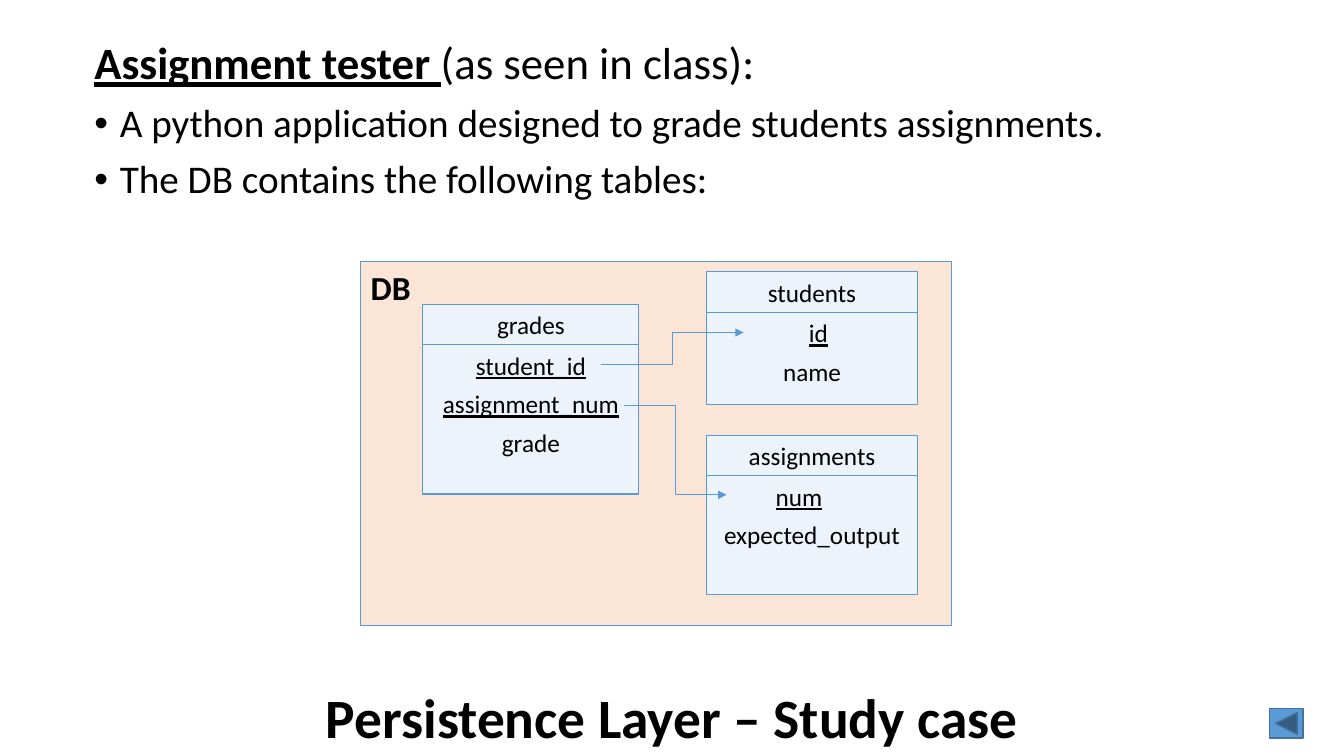
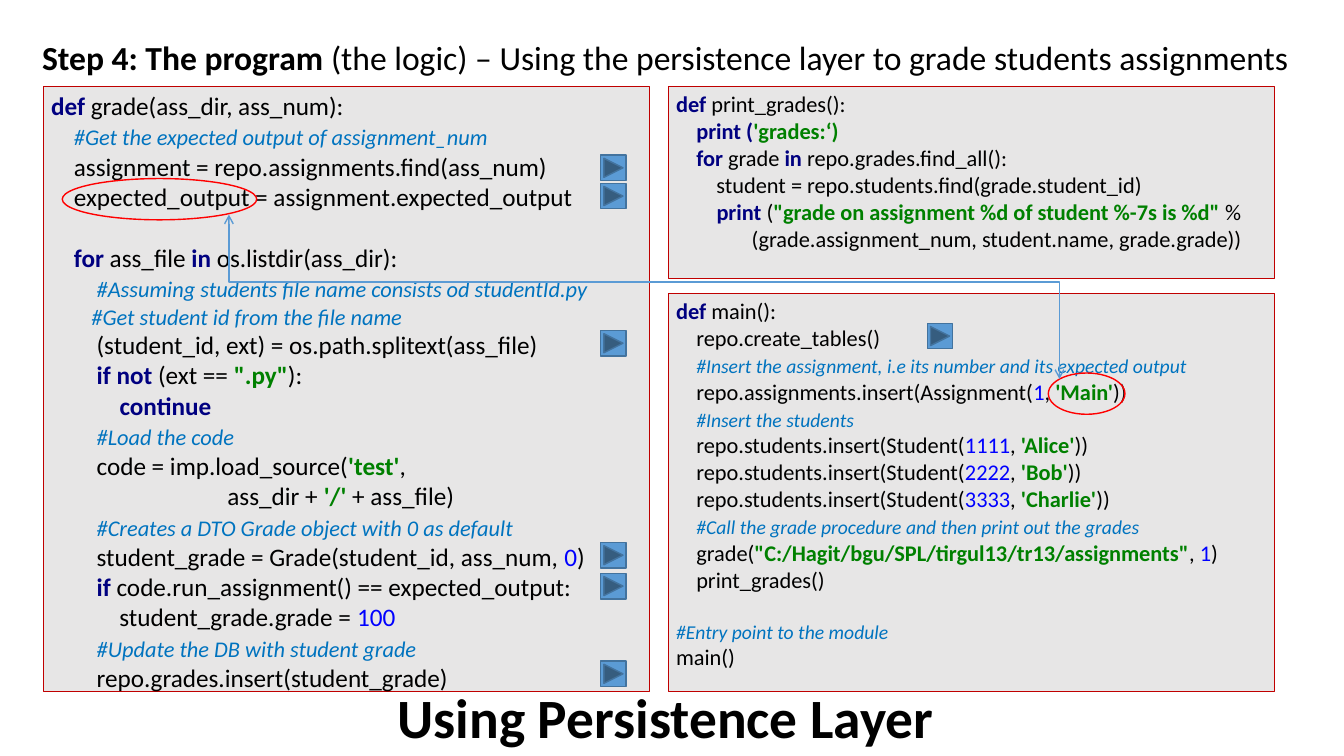
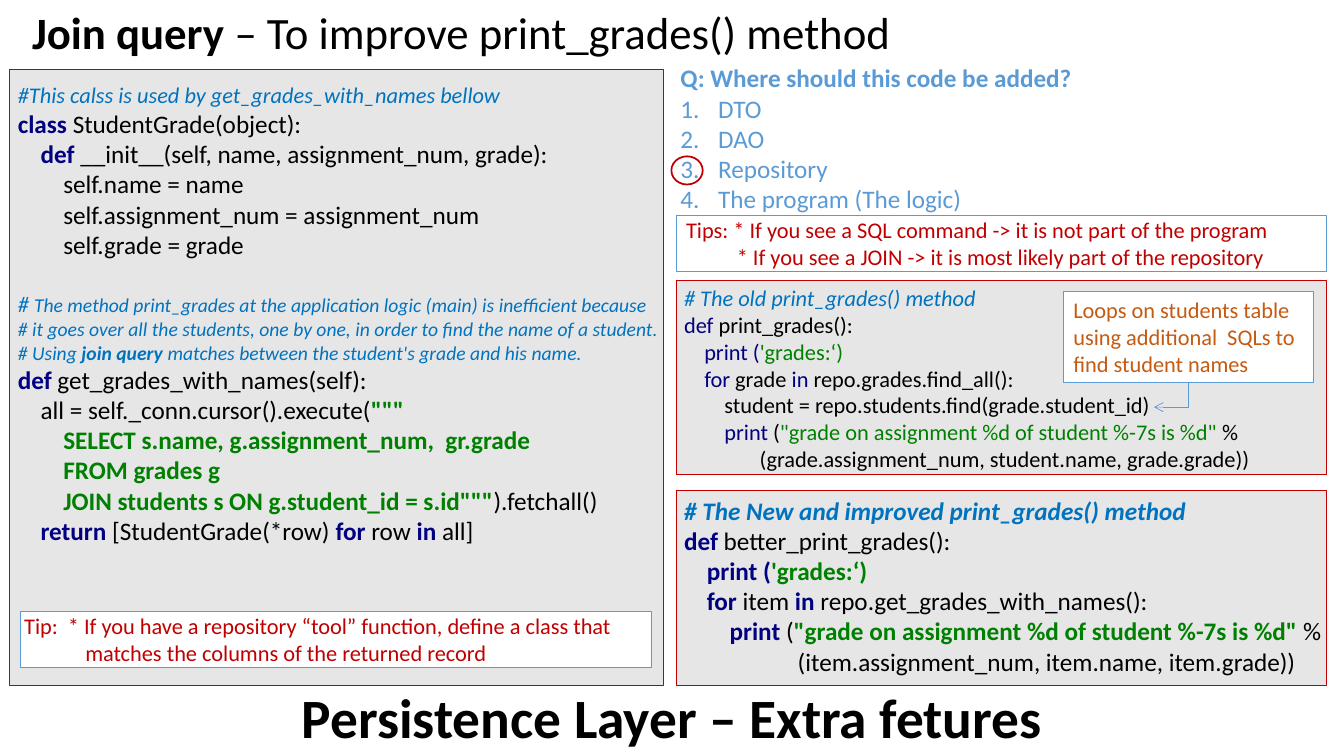
from lxml.etree import SubElement
from pptx import Presentation
from pptx.dml.color import RGBColor
from pptx.enum.shapes import MSO_CONNECTOR, MSO_SHAPE
from pptx.enum.text import MSO_ANCHOR, MSO_AUTO_SIZE, PP_ALIGN
from pptx.oxml.ns import qn
from pptx.util import Cm, Pt

FONT = "Calibri"
BLACK, WHITE, RED, GRAY = "000000", "FFFFFF", "C00000", "E7E6E6"
BLUE, DARK_BLUE, PALE_BLUE, PEACH = "5B9BD5", "43739E", "ECF3FA", "FBE5D6"
NAVY, GREEN, COMMENT = "000080", "008000", "0073BF"
CODE_INSETS = (0.2, 0.1, 0, 0.1)

# Code marks: colour, bold, italic, points added to the base size
STYLES = {
    "p": (BLACK, False, False, 0),
    "k": (NAVY, True, False, 0),
    "K": (NAVY, False, False, 0),
    "s": (GREEN, True, False, 0),
    "S": (GREEN, False, False, 0),
    "n": ("0000FF", False, False, 0),
    "o": (COMMENT, False, True, 0),
    "h": (COMMENT, True, True, 0),
    "c": (COMMENT, False, True, -2),
    "d": (COMMENT, False, True, -4),
    "j": (COMMENT, True, True, -4),
}

GRADE_SETUP = '''\
{k}def {p}grade(ass_dir, ass_num):
    {c}#Get the expected output of assignment_num
    assignment = repo.assignments.find(ass_num)
    expected_output = assignment.expected_output

    {k}for {p}ass_file {k}in {p}os.listdir(ass_dir):
        {c}#Assuming students file name consists od studentId.py
{c}        #Get student id from the file name
        (student_id, ext) = os.path.splitext(ass_file)
        {k}if not {p}(ext == {s}".py"{p}):
            {k}continue'''

GRADE_RUN = '''\
        {c}#Load the code
        code = imp.load_source({s}'test'{p},
                               ass_dir + {s}'/' {p}+ ass_file)
        {c}#Creates a DTO Grade object with 0 as default
        student_grade = Grade(student_id, ass_num, {n}0{p})
        {k}if {p}code.run_assignment() == expected_output:
            student_grade.grade = {n}100
        {c}#Update the DB with student grade
        repo.grades.insert(student_grade)'''

MAIN_CODE = '''\
{k}def {p}main():
    repo.create_tables()
    {c}#Insert the assignment, i.e its number and its expected output
    repo.assignments.insert(Assignment({n}1{p}, {s}'Main'{p}))
    {c}#Insert the students
    repo.students.insert(Student({n}1111{p}, {s}'Alice'{p}))
    repo.students.insert(Student({n}2222{p}, {s}'Bob'{p}))
    repo.students.insert(Student({n}3333{p}, {s}'Charlie'{p}))
    {c}#Call the grade procedure and then print out the grades
    grade({s}"C:/Hagit/bgu/SPL/tirgul13/tr13/assignments"{p}, {n}1{p})
    print_grades()

{c}#Entry point to the module
main()'''

PRINT_CODE = '''\
{k}def {p}print_grades():
    {k}print ({s}'grades:‘)
    {k}for {p}grade {k}in {p}repo.grades.find_all():
        student = repo.students.find(grade.student_id)
        {k}print {p}({s}"grade on assignment %d of student %-7s is %d" {p}%
               (grade.assignment_num, student.name, grade.grade))'''

OLD_PRINT_CODE = ("{o}# The old print_grades() method\n"
                  + PRINT_CODE.replace("{k}", "{K}").replace("{s}", "{S}"))

NEW_PRINT_CODE = '''\
{h}# The New and improved print_grades() method
{k}def {p}better_print_grades():
    {k}print ({s}'grades:‘)
    {k}for {p}item {k}in {p}repo.get_grades_with_names():
        {k}print {p}({s}"grade on assignment %d of student %-7s is %d" {p}%
                    (item.assignment_num, item.name, item.grade))'''

JOIN_CLASS = '''\
{c}#This calss is used by get_grades_with_names bellow
{k}class {p}StudentGrade(object):
    {k}def {p}__init__(self, name, assignment_num, grade):
        self.name = name
        self.assignment_num = assignment_num
        self.grade = grade'''

JOIN_METHOD = '''\
{c}# {d}The method print_grades at the application logic (main) is inefficient because
{d}# it goes over all the students, one by one, in order to find the name of a student.
{d}# Using {j}join query {d}matches between the student's grade and his name.
{k}def {p}get_grades_with_names(self):
    all = self._conn.cursor().execute({s}"""
{s}        SELECT s.name, g.assignment_num,  gr.grade
{s}        FROM grades g
{s}        JOIN students s ON g.student_id = s.id"""{p}).fetchall()
    {k}return {p}[StudentGrade(*row) {k}for {p}row {k}in {p}all]'''


def rgb(value):
    return RGBColor.from_string(value)


def add_run(p, text, size, color=BLACK, bold=False, italic=False, underline=False):
    r = p.add_run()
    r.text = text
    f = r.font
    f.name, f.size, f.bold, f.italic, f.underline = FONT, Pt(size), bold, italic, underline
    f.color.rgb = rgb(color)


def next_paragraph(tf, align=PP_ALIGN.LEFT):
    """Return the first paragraph while it is unused, otherwise a new one."""
    p = tf.paragraphs[0]
    if p.runs:
        p = tf.add_paragraph()
    p.alignment = align
    return p


def indent(p, left=0, first=0, right=0):
    pPr = p._p.get_or_add_pPr()
    for name, value in (("marL", left), ("indent", first), ("marR", right)):
        pPr.set(name, str(int(Cm(value))))
    return pPr


def set_frame(sp, insets):
    tf = sp.text_frame
    tf.word_wrap = True
    tf.auto_size = MSO_AUTO_SIZE.NONE
    tf.vertical_anchor = MSO_ANCHOR.TOP
    tf.margin_left, tf.margin_top, tf.margin_right, tf.margin_bottom = map(Cm, insets)
    return tf


def add_text(s, box, insets=(0.25, 0.13, 0.25, 0.13)):
    return set_frame(s.shapes.add_textbox(*map(Cm, box)), insets)


def add_shape(s, box, fill, line, width=0.75, kind=MSO_SHAPE.RECTANGLE,
              insets=(0.25, 0.13, 0.25, 0.13)):
    sp = s.shapes.add_shape(kind, *map(Cm, box))
    sp.shadow.inherit = False
    if fill:
        sp.fill.solid()
        sp.fill.fore_color.rgb = rgb(fill)
    else:
        sp.fill.background()
    sp.line.color.rgb = rgb(line)
    sp.line.width = Pt(width)
    return set_frame(sp, insets)


def add_elbow(s, start, end, width=0.5, head=None, tail="triangle",
              vertical=False, kind="bentConnector3", bend=0.5):
    """Draw a bent arrow; a vertical one leaves its start downwards."""
    (x1, y1), (x2, y2) = start, end
    if vertical:
        cx, cy = (x1 + x2) / 2, (y1 + y2) / 2
        half_w, half_h = abs(y2 - y1) / 2, abs(x2 - x1) / 2
        ends = (cx - half_w, cy - half_h, cx + half_w, cy + half_h)
    else:
        ends = (x1, y1, x2, y2)
    c = s.shapes.add_connector(MSO_CONNECTOR.ELBOW, *map(Cm, ends))
    c.line.color.rgb = rgb(BLUE)
    c.line.width = Pt(width)
    spPr = c._element.spPr
    if vertical:
        xfrm = spPr.find(qn("a:xfrm"))
        xfrm.set("rot", "16200000" if x2 > x1 else "5400000")
        if x2 > x1:
            xfrm.set("flipH", "1")
    geom = spPr.find(qn("a:prstGeom"))
    geom.set("prst", kind)
    if bend != 0.5:
        SubElement(geom.find(qn("a:avLst")), qn("a:gd"),
                   name="adj1", fmla=f"val {round(bend * 100000)}")
    ln = spPr.find(qn("a:ln"))
    for tag, arrow in (("a:headEnd", head), ("a:tailEnd", tail)):
        if arrow:
            SubElement(ln, qn(tag), type=arrow)
    SubElement(spPr, qn("a:effectLst"))


def add_button(s, box, kind=MSO_SHAPE.ACTION_BUTTON_FORWARD_OR_NEXT):
    add_shape(s, box, BLUE, DARK_BLUE, 1, kind)


def add_slide(prs, title):
    s = prs.slides.add_slide(prs.slide_layouts[5])
    sp = s.shapes.title
    sp.left, sp.top, sp.width, sp.height = map(Cm, (0, 17.27, 33.87, 1.78))
    tf = set_frame(sp, (0.25, 0.13, 0.25, 0.13))
    tf.vertical_anchor = MSO_ANCHOR.MIDDLE
    p = next_paragraph(tf, PP_ALIGN.CENTER)
    p.line_spacing = 0.9
    add_run(p, title, 39.6, bold=True)
    return s


def add_heading(s, box, strong, rest, size, underline=False):
    tf = add_text(s, box)
    p = next_paragraph(tf)
    p.line_spacing = 0.9
    add_run(p, strong, size, bold=True, underline=underline)
    add_run(p, rest, size)
    return tf


def add_code(s, box, code, size, insets=CODE_INSETS):
    """Place a code panel; an empty line becomes space before the next one."""
    tf = add_shape(s, box, GRAY, RED, insets=insets)
    gap = 0
    for line in code.split("\n"):
        if not line:
            gap = size * 1.22
            continue
        p = next_paragraph(tf)
        p.space_before = Pt(gap)
        gap = 0
        plain, *marked = line.split("{")
        for mark, text in [("p", plain)] + [(m[0], m[2:]) for m in marked]:
            if text:
                color, bold, italic, extra = STYLES[mark]
                add_run(p, text, size + extra, color, bold, italic)


def add_tip(s, box, lines, hang, side):
    """Place a two-line tip whose second line is indented by hang."""
    tf = add_shape(s, box, WHITE, BLUE, insets=(side, 0, side, 0))
    for text, left in zip(lines, (0, hang)):
        p = next_paragraph(tf)
        indent(p, left)
        add_run(p, text, 16, RED)


def add_entity(s, box, name, fields):
    """Place a table of the DB; fields hold name, is key, sideways shift."""
    x, y, w, h = box
    header_h = 1.02
    header = add_shape(s, (x, y, w, header_h), PALE_BLUE, BLUE)
    add_run(next_paragraph(header, PP_ALIGN.CENTER), name, 18)
    body = add_shape(s, (x, y + header_h, w, h - header_h), PALE_BLUE, BLUE)
    for i, (field, key, shift) in enumerate(fields):
        p = next_paragraph(body, PP_ALIGN.CENTER)
        p.space_before = Pt(6 if i else 0)
        indent(p, left=max(0, 2 * shift), right=max(0, -2 * shift))
        add_run(p, field, 18, underline=key)


def add_database(s, box):
    x, y = box[:2]
    add_run(next_paragraph(add_shape(s, box, PEACH, BLUE)), "DB", 24, bold=True)
    add_entity(s, (x + 1.57, y + 1.07, 5.44, 4.78), "grades",
               [("student_id", True, 0), ("assignment_num", True, 0), ("grade", False, 0)])
    add_entity(s, (x + 8.71, y + 0.25, 5.33, 3.35), "students",
               [("id", True, 0.16), ("name", False, 0)])
    add_entity(s, (x + 8.71, y + 4.37, 5.33, 4.02), "assignments",
               [("num", True, -0.33), ("expected_output", False, 0)])
    add_elbow(s, (x + 6.63, y + 3.61), (x + 9.22, y + 5.87))
    add_elbow(s, (x + 6.05, y + 2.59), (x + 9.65, y + 1.78))


def add_question(s, box):
    tf = add_text(s, box, (0, 0.13, 0, 0.13))
    add_run(next_paragraph(tf), "Q: Where should this code be added?", 18, BLUE, bold=True)
    for answer in ("DTO", "DAO", "Repository", "The program (The logic)"):
        p = next_paragraph(tf)
        SubElement(indent(p, 0.95, -0.95), qn("a:buAutoNum"), type="arabicPeriod")
        add_run(p, answer, 18, BLUE)
    x, y = box[:2]
    add_shape(s, (x - 0.23, y + 2.49, 0.79, 0.71), None, RED, 1.25, MSO_SHAPE.OVAL)


def add_old_method(s, box):
    x, y = box[:2]
    add_code(s, box, OLD_PRINT_CODE, 16, (0.2, 0.1, 0, 0))
    tf = add_shape(s, (x + 9.76, y + 0.28, 6.3, 2.31), WHITE, BLUE)
    add_run(next_paragraph(tf),
            "Loops on students table using additional  SQLs to find student names",
            16, "C55A11")
    add_elbow(s, (x + 12.91, y + 2.59), (x + 12.04, y + 3.2), tail="arrow",
              vertical=True, kind="bentConnector2")


def study_case_slide(prs):
    s = add_slide(prs, "Persistence Layer – Study case")
    tf = add_heading(s, (2.13, 0.91, 31.01, 4.8), "Assignment tester ",
                     "(as seen in class):", 32, underline=True)
    for text in ("A python application designed to grade students assignments.",
                 "The DB contains the following tables:"):
        p = next_paragraph(tf)
        p.line_spacing = 0.9
        p.space_before = Pt(10)
        pPr = indent(p, 0.64, -0.64)
        SubElement(pPr, qn("a:buFont"), typeface="Arial")
        SubElement(pPr, qn("a:buChar"), char="•")
        add_run(p, text, 28)
    add_database(s, (9.09, 6.6, 14.88, 9.17))
    add_button(s, (32, 17.86, 0.84, 0.74), MSO_SHAPE.ACTION_BUTTON_BACK_OR_PREVIOUS)


def program_slide(prs):
    s = add_slide(prs, "Using Persistence Layer ")
    add_heading(s, (0.81, 0.91, 32.97, 1.35), "Step 4: The program ",
                "(the logic) – Using the persistence layer to grade students assignments", 24)
    left, right, top, width = 1.09, 16.84, 2.18, 15.29
    add_code(s, (left, top, width, 15.24), "\n".join((GRADE_SETUP, GRADE_RUN)), 18)
    add_code(s, (right, 7.39, width, 10.03), MAIN_CODE, 16)
    add_code(s, (right, top, width, 4.85), PRINT_CODE, 16)
    spots = [(15.14, y) for y in (3.91, 4.62, 8.33, 13.67, 14.45, 16.66)]
    for x, y in spots + [(23.37, 8.15)]:
        add_button(s, (x, y, 0.64, 0.64))
    for ring in ((26.42, 9.4, 1.93, 1.04), (1.57, 4.5, 4.9, 1.04)):
        add_shape(s, ring, None, "FF0000", 1, MSO_SHAPE.OVAL)
    add_elbow(s, (5.77, 5.41), (26.7, 9.55), 1, head="arrow", tail="arrow",
              vertical=True, bend=0.41)


def join_slide(prs):
    s = add_slide(prs, "Persistence Layer – Extra fetures")
    add_heading(s, (0.56, 0.13, 32.61, 1.88), "Join query ",
                "– To improve print_grades() method", 32)
    add_code(s, (0.25, 1.75, 16.48, 15.52), "\n\n".join((JOIN_CLASS, JOIN_METHOD)), 18,
             (0.2, 0.3, 0, 0.1))
    add_tip(s, (0.51, 15.42, 15.9, 1.4),
            ("Tip:  * If you have a repository “tool” function, define a class that",
             "matches the columns of the returned record"), 1.54, 0.1)
    right, width = 17.04, 16.38
    add_question(s, (17.15, 1.45, 13.74, 4.88))
    add_tip(s, (right, 5.44, width, 1.4),
            ("Tips: * If you see a SQL command -> it is not part of the program",
             "* If you see a JOIN -> it is most likely part of the repository"), 1.28, 0.25)
    add_old_method(s, (right, 7.06, width, 4.9))
    add_code(s, (right, 12.37, width, 4.9), NEW_PRINT_CODE, 18, (0.2, 0.1, 0, 0))


def main():
    prs = Presentation()
    prs.slide_width, prs.slide_height = Cm(33.87), Cm(19.05)
    study_case_slide(prs)
    program_slide(prs)
    join_slide(prs)
    prs.save("out.pptx")


if __name__ == "__main__":
    main()
